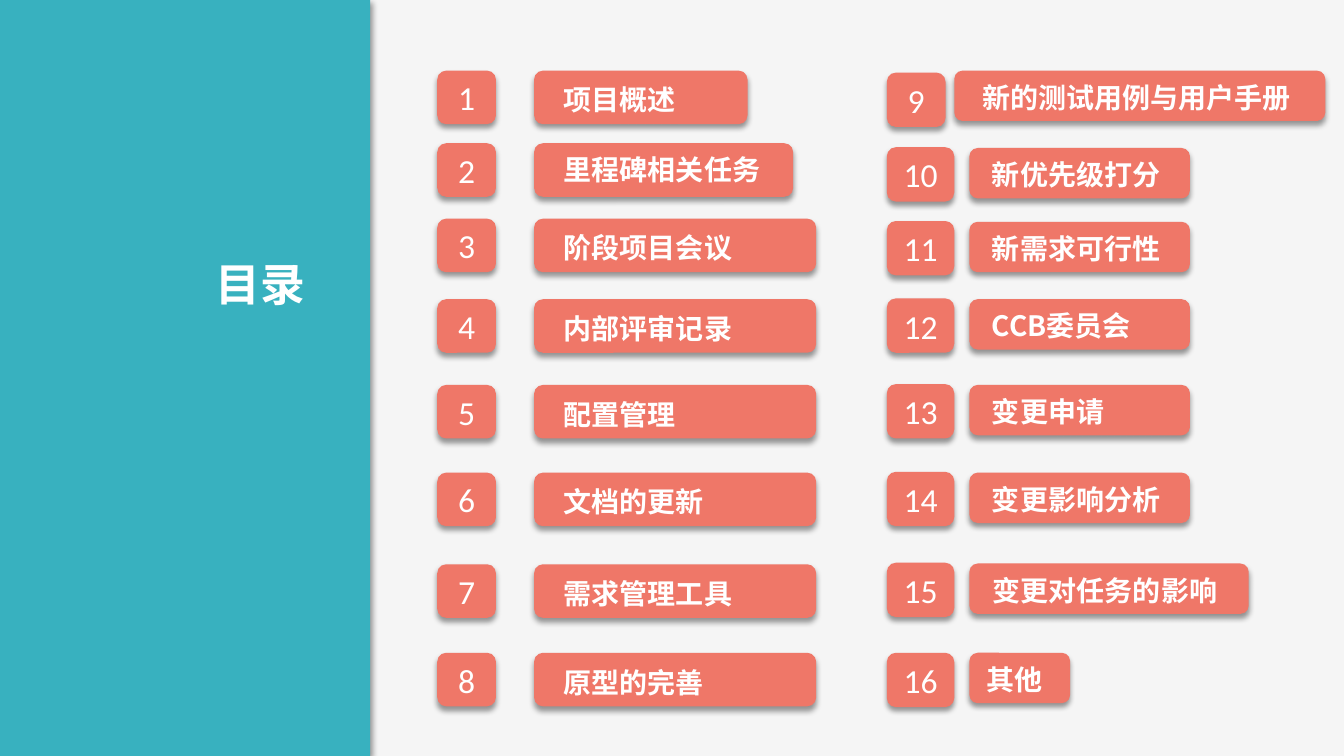
"""Build a table-of-contents slide with sixteen numbered entries in two columns."""
from dataclasses import dataclass

from lxml.etree import SubElement
from pptx import Presentation
from pptx.dml.color import RGBColor
from pptx.enum.shapes import MSO_SHAPE
from pptx.enum.text import MSO_ANCHOR, MSO_AUTO_SIZE, PP_ALIGN
from pptx.oxml.ns import qn
from pptx.util import Cm, Pt

COLORS = {"bg": "F5F5F5", "panel": "38B1BF", "box": "EF7768",
          "text": "FFFFFF", "shadow": "000000"}
CJK_FONT = "Noto Sans CJK SC"
NUMBER_FONT = "Calibri"
ROW_TOPS = [1.78, 3.61, 5.51, 7.54, 9.7, 11.91, 14.22, 16.45]


@dataclass(frozen=True)
class Entry:
    label: str
    width: float
    text_width: float
    box_shift: float = 0
    text_shift: float = 0
    text_rise: float = 0
    number_drop: float = 0
    number_trim: float = 0


@dataclass(frozen=True)
class Column:
    number_left: float
    number_width: float
    number_height: float
    box_left: float
    box_height: float
    text_indent: float
    text_drop: float
    entries: list[Entry]


LEFT = Column(11.02, 1.48, 1.35, 13.46, 1.35, 0.41, 0.14, [
    Entry("项目概述", 5.38, 4.29),
    Entry("里程碑相关任务", 6.53, 6.38, text_rise=0.07),
    Entry("阶段项目会议", 7.11, 7.37),
    Entry("内部评审记录", 7.11, 7.37),
    Entry("配置管理", 7.11, 7.37),
    Entry("文档的更新", 7.11, 7.37),
    Entry("需求管理工具", 7.11, 7.37),
    Entry("原型的完善", 7.11, 7.37),
])
RIGHT = Column(22.35, 1.7, 1.37, 24.43, 1.27, 0.23, 0.07, [
    Entry("新的测试用例与用户手册", 9.35, 9.7, box_shift=-0.38,
          text_shift=0.13, number_drop=0.05, number_trim=0.22),
    Entry("新优先级打分", 5.56, 5.79, number_drop=-0.02),
    Entry("新需求可行性", 5.56, 5.79, number_drop=-0.02),
    Entry("CCB委员会", 5.56, 5.79, number_drop=-0.02),
    Entry("变更申请", 5.56, 5.79, number_drop=-0.02),
    Entry("变更影响分析", 5.56, 5.79, number_drop=-0.02),
    Entry("变更对任务的影响", 7.04, 6.78, text_shift=0.02, number_drop=-0.02),
    Entry("其他", 2.54, 2.44, text_shift=-0.13),
])
RIGHT_ROW_SHIFTS = [0, 0.12, 0.08, 0, 0, 0, -0.02, 0]


def rgb(name: str) -> RGBColor:
    return RGBColor.from_string(COLORS[name])


def add_block(shapes, kind: MSO_SHAPE, box: tuple, color: str, angle: int):
    sp = shapes.add_shape(kind, *map(Cm, box))
    sp.fill.solid()
    sp.fill.fore_color.rgb = rgb(color)
    sp.line.fill.background()
    sp.shadow.inherit = False
    effects = sp._element.spPr.find(qn("a:effectLst"))
    shadow = SubElement(effects, qn("a:outerShdw"), blurRad=str(Pt(4)),
                        dist=str(Pt(3)), dir=str(angle * 60000),
                        algn="t", rotWithShape="0")
    shade = SubElement(shadow, qn("a:srgbClr"), val=COLORS["shadow"])
    SubElement(shade, qn("a:alpha"), val="40000")
    return sp


def write(sp, text: str, size: int, font: str, align: PP_ALIGN, bold: bool) -> None:
    tf = sp.text_frame
    tf.word_wrap = True
    tf.margin_left = tf.margin_right = Cm(0.34)
    tf.margin_top = tf.margin_bottom = Cm(0.17)
    p = tf.paragraphs[0]
    p.alignment = align
    r = p.add_run()
    r.text = text
    r.font.size = Pt(size)
    r.font.bold = bold
    r.font.color.rgb = rgb("text")
    r.font.name = font
    SubElement(r.font._element, qn("a:ea"), typeface=font)


def add_label(shapes, box: tuple, text: str, size: int, align: PP_ALIGN) -> None:
    sp = shapes.add_textbox(*map(Cm, box))
    write(sp, text, size, CJK_FONT, align, True)
    sp.text_frame.auto_size = MSO_AUTO_SIZE.SHAPE_TO_FIT_TEXT


def add_entry(shapes, col: Column, entry: Entry, number: int, top: float) -> None:
    badge = add_block(shapes, MSO_SHAPE.ROUNDED_RECTANGLE,
                      (col.number_left, top + entry.number_drop,
                       col.number_width - entry.number_trim, col.number_height),
                      "box", 90)
    write(badge, str(number), 24, NUMBER_FONT, PP_ALIGN.CENTER, False)
    badge.text_frame.vertical_anchor = MSO_ANCHOR.MIDDLE

    left = col.box_left + entry.box_shift
    group = shapes.add_group_shape()
    add_block(group.shapes, MSO_SHAPE.ROUNDED_RECTANGLE,
              (left, top, entry.width, col.box_height), "box", 90)
    add_label(group.shapes,
              (left + col.text_indent + entry.text_shift,
               top + col.text_drop - entry.text_rise, entry.text_width, 1.19),
              entry.label, 20, PP_ALIGN.LEFT)


def main() -> None:
    prs = Presentation()
    prs.slide_width, prs.slide_height = Cm(33.87), Cm(19.05)
    s = prs.slides.add_slide(prs.slide_layouts[6])
    s.background.fill.solid()
    s.background.fill.fore_color.rgb = rgb("bg")

    add_block(s.shapes, MSO_SHAPE.RECTANGLE, (-0.3, 0, 9.63, 19.05), "panel", 45)
    add_label(s.shapes, (0.23, 6.3, 7.8, 1.7), "目录", 32, PP_ALIGN.RIGHT)

    right_tops = [top + shift for top, shift in zip(ROW_TOPS, RIGHT_ROW_SHIFTS)]
    number = 0
    for col, tops in ((LEFT, ROW_TOPS), (RIGHT, right_tops)):
        for entry, top in zip(col.entries, tops):
            number += 1
            add_entry(s.shapes, col, entry, number, top)
    prs.save("out.pptx")


if __name__ == "__main__":
    main()
